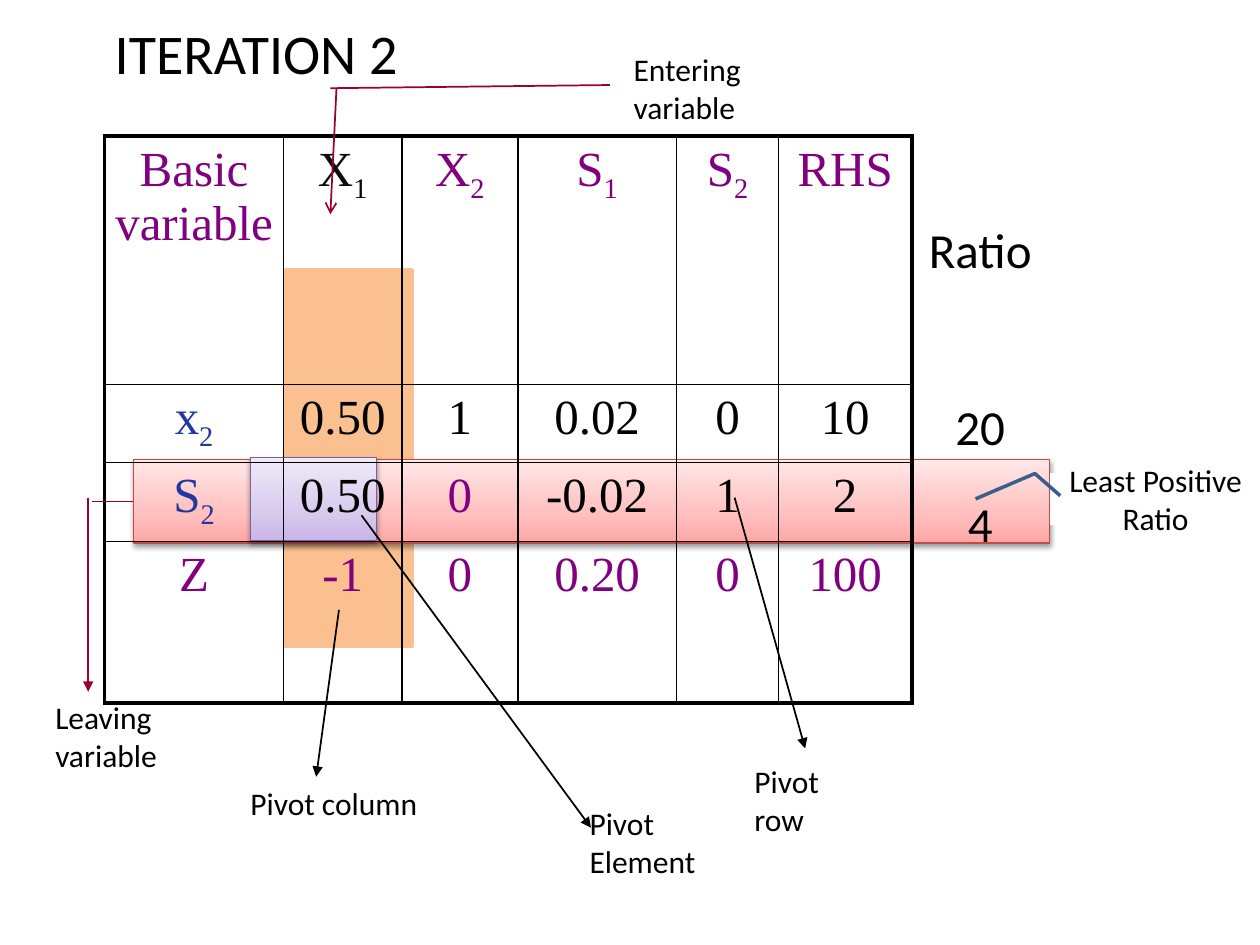
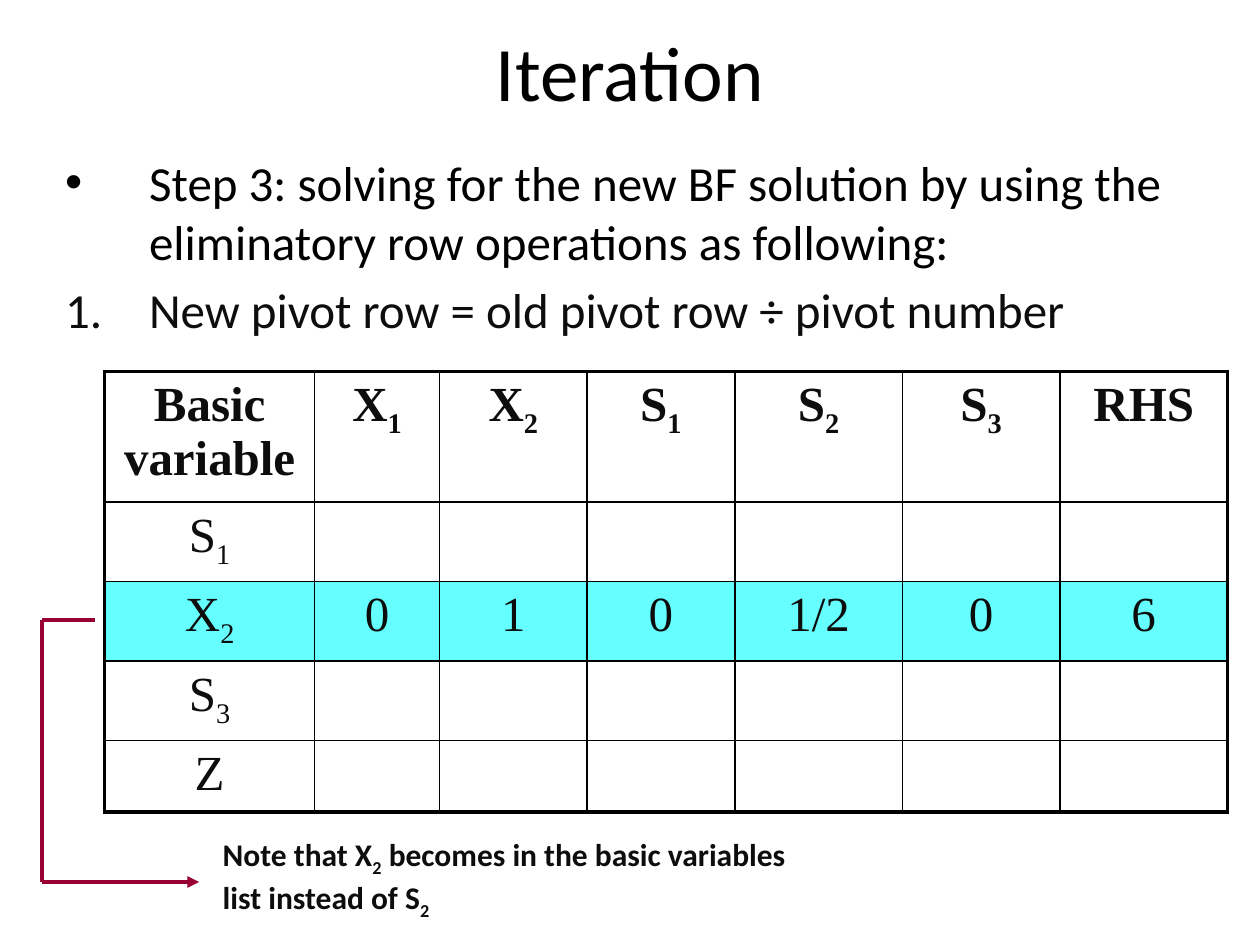
"""Build two slides on simplex iterations: pivot choice and the new pivot row."""
from dataclasses import dataclass
from typing import Optional

from lxml import etree
from pptx import Presentation
from pptx.dml.color import RGBColor
from pptx.enum.shapes import MSO_CONNECTOR, MSO_SHAPE
from pptx.enum.text import MSO_ANCHOR, PP_ALIGN
from pptx.oxml.ns import qn
from pptx.util import Pt

CENTER, LEFT = PP_ALIGN.CENTER, PP_ALIGN.LEFT
MIDDLE, TOP = MSO_ANCHOR.MIDDLE, MSO_ANCHOR.TOP
RECTANGLE, CALLOUT = MSO_SHAPE.RECTANGLE, MSO_SHAPE.LINE_CALLOUT_2_NO_BORDER
STRAIGHT = MSO_CONNECTOR.STRAIGHT
TITLE_ONLY, LEFT_SIDE = 5, 1


@dataclass(frozen=True)
class Theme:
    sans: str = "Calibri"
    serif: str = "Times New Roman"
    black: str = "000000"
    ink: str = "0D0D0D"
    purple: str = "800080"
    blue: str = "2237A0"
    crimson: str = "990033"
    white: str = "FFFFFF"
    orange: str = "FAC090"
    cyan: str = "66FFFF"
    callout: str = "3A5F8C"
    title: float = 44
    heading: float = 32
    body: float = 28
    label: float = 18
    thin: float = 1
    thick: float = 2.25


THEME = Theme()
INKS = {"K": THEME.black, "D": THEME.ink, "P": THEME.purple, "B": THEME.blue}


@dataclass(frozen=True)
class Box:
    left: float
    top: float
    width: float
    height: float

    def lengths(self) -> tuple:
        return Pt(self.left), Pt(self.top), Pt(self.width), Pt(self.height)


@dataclass(frozen=True)
class Style:
    size: float
    color: str = THEME.black
    font: str = THEME.sans
    bold: bool = False
    align: PP_ALIGN = LEFT


@dataclass(frozen=True)
class Row:
    height: float
    cells: str
    inks: str
    bold: bool = False
    fill: Optional[str] = None


@dataclass(frozen=True)
class Grid:
    left: float
    top: float
    columns: tuple
    rows: tuple
    side_margin: float
    font: str = THEME.serif
    ruled: bool = True


@dataclass(frozen=True)
class Label:
    text: str
    box: Box


@dataclass(frozen=True)
class Line:
    start: tuple
    end: tuple
    color: str = THEME.black
    width: float = THEME.thin
    head: Optional[str] = None


@dataclass(frozen=True)
class Highlight:
    box: Box
    stops: tuple
    outline: str


LABEL = Style(THEME.label)
NOTE = Style(THEME.label, THEME.ink, bold=True)


def rgb(color: str) -> RGBColor:
    return RGBColor.from_string(color)


def write(paragraph, text: str, style: Style) -> None:
    """Write text in which an underscore makes the next character a subscript."""
    font = paragraph.font
    font.name, font.size, font.bold = style.font, Pt(style.size), style.bold
    font.color.rgb = rgb(style.color)
    paragraph.alignment = style.align
    first, *rest = text.split("_")
    paragraph.add_run().text = first
    for part in rest:
        subscript = paragraph.add_run()
        subscript.text = part[0]
        subscript._r.get_or_add_rPr().set("baseline", "-25000")
        if part[1:]:
            paragraph.add_run().text = part[1:]


def add_text(slide, box: Box, text: str, style: Style):
    frame = slide.shapes.add_textbox(*box.lengths()).text_frame
    frame.word_wrap = True
    write(frame.paragraphs[0], text, style)
    return frame


def add_title(slide, box: Box, text: str, size: float, anchor: MSO_ANCHOR,
              wrap: bool) -> None:
    title = slide.shapes.title
    title.left, title.top, title.width, title.height = box.lengths()
    frame = title.text_frame
    frame.word_wrap, frame.vertical_anchor = wrap, anchor
    write(frame.paragraphs[0], text, Style(size, align=CENTER))


def add_line(slide, line: Line):
    points = [Pt(value) for value in (*line.start, *line.end)]
    connector = slide.shapes.add_connector(STRAIGHT, *points)
    connector.line.color.rgb = rgb(line.color)
    connector.line.width = Pt(line.width)
    if line.head:
        stroke = connector.line._get_or_add_ln()
        etree.SubElement(stroke, qn("a:tailEnd"), type=line.head)
    etree.SubElement(connector._element.spPr, qn("a:effectLst"))
    return connector


def add_block(slide, kind: MSO_SHAPE, box: Box, fill: str, outline: str, width: float):
    block = slide.shapes.add_shape(kind, *box.lengths())
    block.shadow.inherit = False
    block.fill.solid()
    block.fill.fore_color.rgb = rgb(fill)
    block.line.color.rgb = rgb(outline)
    block.line.width = Pt(width)
    return block


def add_highlight(slide, highlight: Highlight):
    """Add a rectangle with a three-stop gradient and a soft shadow."""
    block = add_block(slide, RECTANGLE, highlight.box, THEME.white, highlight.outline, 0.75)
    block.fill.gradient()
    block.fill.gradient_angle = 90
    properties = block._element.spPr
    stops = properties.find(qn("a:gradFill")).find(qn("a:gsLst"))
    stops.clear()
    for position, color in zip((0, 35, 100), highlight.stops):
        stop = etree.SubElement(stops, qn("a:gs"), pos=str(position * 1000))
        etree.SubElement(stop, qn("a:srgbClr"), val=color)
    shadow = etree.SubElement(properties.find(qn("a:effectLst")), qn("a:outerShdw"),
                              blurRad=str(Pt(3.1)), dist=str(Pt(1.6)),
                              dir="5400000", rotWithShape="0")
    tint = etree.SubElement(shadow, qn("a:srgbClr"), val=THEME.black)
    etree.SubElement(tint, qn("a:alpha"), val="38000")
    return block


def add_border(cell, side: str, width: float) -> None:
    edge = etree.SubElement(cell._tc.get_or_add_tcPr(), qn(f"a:ln{side}"), w=str(Pt(width)))
    if width:
        fill = etree.SubElement(edge, qn("a:solidFill"))
        etree.SubElement(fill, qn("a:srgbClr"), val=THEME.black)
    else:
        etree.SubElement(edge, qn("a:noFill"))


def add_grid(slide, grid: Grid) -> None:
    """Add a table with a thick frame and thin inner rules, or with no rules."""
    last_row, last_column = len(grid.rows) - 1, len(grid.columns) - 1
    box = Box(grid.left, grid.top, sum(grid.columns), sum(row.height for row in grid.rows))
    table = slide.shapes.add_table(last_row + 1, last_column + 1, *box.lengths()).table
    table.first_row = table.horz_banding = False
    for column, width in zip(table.columns, grid.columns):
        column.width = Pt(width)
    for r, row in enumerate(grid.rows):
        table.rows[r].height = Pt(row.height)
        for c, text in enumerate(row.cells.split("|")):
            cell = table.cell(r, c)
            cell.margin_left = cell.margin_right = Pt(grid.side_margin)
            outer = {"L": c == 0, "R": c == last_column, "T": r == 0, "B": r == last_row}
            for side, framed in outer.items():
                width = THEME.thick if framed else THEME.thin
                add_border(cell, side, width if grid.ruled else 0)
            if row.fill:
                cell.fill.solid()
                cell.fill.fore_color.rgb = rgb(row.fill)
            else:
                cell.fill.background()
            if text:
                style = Style(THEME.body, INKS[row.inks[c]], grid.font, row.bold, CENTER)
                write(cell.text_frame.paragraphs[0], text, style)


def set_bullet(paragraph, tag: str, **attributes: str) -> None:
    properties = paragraph._p.get_or_add_pPr()
    properties.set("marL", str(Pt(48)))
    properties.set("indent", str(Pt(-48)))
    bullet = etree.Element(qn(tag), **attributes)
    font = etree.Element(qn("a:buFont"), typeface="Arial" if "char" in attributes else THEME.sans)
    properties.insert(0, bullet)
    properties.insert(0, font)


PIVOT_COLUMN = Box(163.4, 154.1, 72, 215.3)
PIVOT_ROW = Highlight(Box(76.3, 262.8, 523.4, 47.5), ("FFA6A5", "FFC0BF", "FFE7E7"), "BF4C48")
PIVOT_ELEMENT = Highlight(Box(143.3, 261.4, 72, 47.5), ("C9B5E8", "D8CBEE", "F0EAF9"), "7D60A0")
TABLEAU = Grid(59.8, 77.8, (102.2, 67.7, 66.2, 90.7, 58.3, 76.3), (
    Row(141.8, "Basic variable|X_1|X_2|S_1|S_2|RHS", "PDPPPP"),
    Row(44.6, "x_2|0.50|1|0.02|0|10", "BKKKKK"),
    Row(45.4, "S_2|0.50|0|-0.02|1|2", "BKPKKK"),
    Row(92.2, "Z|-1|0|0.20|0|100", "PPPPPP")), 5)
RATIOS = Grid(522, 123.1, (76.3,), (
    Row(101.5, "Ratio", "K"), Row(55.4, "20", "K"),
    Row(41, "4", "K"), Row(69.1, "", "K")), 5, THEME.sans, False)
LABELS = (
    Label("Pivot column", Box(136, 444.2, 112.3, 29)),
    Label("Pivot row", Box(424, 432, 80.6, 51)),
    Label("Pivot Element", Box(329.8, 455.8, 79.2, 51)),
    Label("Entering variable", Box(355, 25.2, 76.3, 51)),
    Label("Leaving variable", Box(24.5, 395.3, 75.6, 51)),
)
POINTERS = (
    Line((193.7, 348.5), (180.7, 443.9), head="triangle"),
    Line((419.8, 284.4), (460.1, 427.7), head="triangle"),
    Line((206.6, 294.5), (337.7, 473), head="triangle"),
    Line((348.5, 48.6), (188.8, 50.4), THEME.crimson),
    Line((192.3, 50.4), (188.8, 122.4), THEME.crimson, head="arrow"),
    Line((50.4, 284.4), (50.4, 395.3), THEME.crimson, head="triangle"),
)
LEAVING_LINK = Line((76.3, 286.55), (52.6, 286.55), THEME.crimson)

NEW_ROW_TABLE = Grid(59.8, 212.4, (120, 71.3, 84.4, 84.4, 95.8, 90, 95.8), (
    Row(69.8, "Basic variable|X_1|X_2|S_1|S_2|S_3|RHS", "D" * 7, bold=True),
    Row(42.7, "S_1||||||", "D" * 7),
    Row(42.7, "X_2|0|1|0|1/2|0|6", "D" * 7, fill=THEME.cyan),
    Row(42.7, "S_3||||||", "D" * 7),
    Row(38, "Z||||||", "D" * 7)), 7.2)
NOTE_PATH = ((54, 354.2), (24, 354.2), (24, 504), (113.8, 504))


def build_pivot_slide(slide) -> None:
    add_title(slide, Box(57.6, 7.2, 177.8, 46), "ITERATION 2", THEME.heading, TOP, False)
    add_block(slide, RECTANGLE, PIVOT_COLUMN, THEME.orange, THEME.orange, 2)
    pivot_row = add_highlight(slide, PIVOT_ROW)
    add_highlight(slide, PIVOT_ELEMENT)
    add_grid(slide, TABLEAU)
    for label in LABELS:
        add_text(slide, label.box, label.text, LABEL)
    for pointer in POINTERS:
        add_line(slide, pointer)
    add_line(slide, LEAVING_LINK).begin_connect(pivot_row, LEFT_SIDE)
    add_grid(slide, RATIOS)
    least = add_block(slide, CALLOUT, Box(599.8, 270, 121, 30.2), THEME.white, THEME.callout, 2)
    for index, value in enumerate((0.44, 0.05, 0.02, -0.07, 0.5, -0.35)):
        least.adjustments[index] = value
    least.text_frame.vertical_anchor = MIDDLE
    write(least.text_frame.paragraphs[0], "Least Positive Ratio", Style(THEME.label, align=CENTER))


def build_new_row_slide(slide) -> None:
    add_title(slide, Box(0, 4.3, 720, 72), "Iteration", THEME.title, MIDDLE, True)
    steps = add_text(slide, Box(30.2, 83.5, 671.8, 121), "Step 3: solving for the new BF solution "
                     "by using the eliminatory row operations as following:", Style(THEME.body))
    set_bullet(steps.paragraphs[0], "a:buChar", char="•")
    rule = steps.add_paragraph()
    write(rule, "New pivot row = old pivot row ÷ pivot number", Style(THEME.body, THEME.ink))
    set_bullet(rule, "a:buAutoNum", type="arabicPeriod")
    rule.space_before = Pt(5.6)
    add_grid(slide, NEW_ROW_TABLE)
    add_text(slide, Box(120.2, 473.8, 342, 50.4),
             "Note that X_2 becomes in the basic variables list instead of S_2", NOTE)
    for start, end in zip(NOTE_PATH, NOTE_PATH[1:]):
        head = "triangle" if end == NOTE_PATH[-1] else None
        add_line(slide, Line(start, end, THEME.crimson, THEME.thick, head))


def main() -> None:
    deck = Presentation()
    deck.slide_width, deck.slide_height = Pt(720), Pt(540)
    for build in (build_pivot_slide, build_new_row_slide):
        build(deck.slides.add_slide(deck.slide_layouts[TITLE_ONLY]))
    deck.save("out.pptx")


if __name__ == "__main__":
    main()
